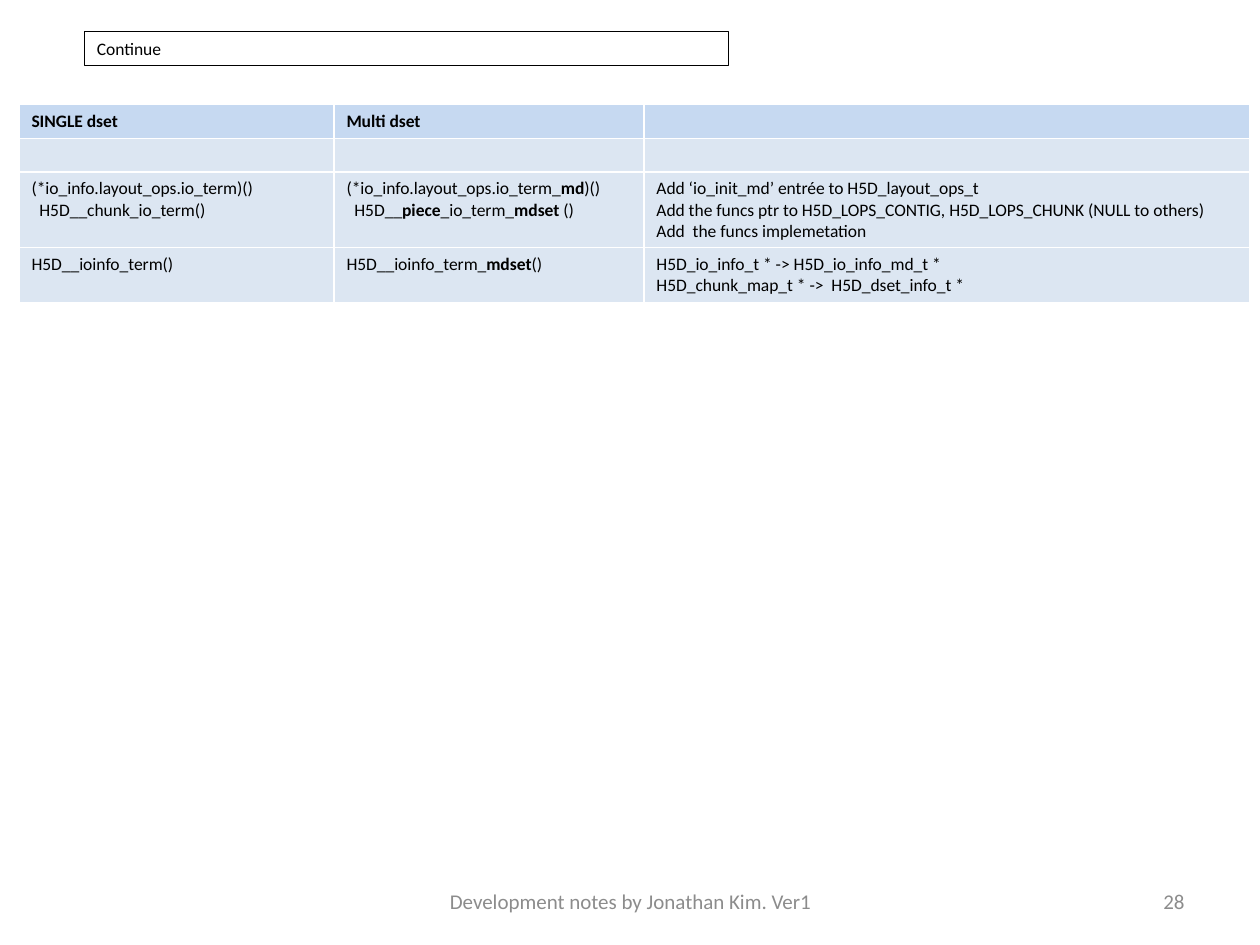
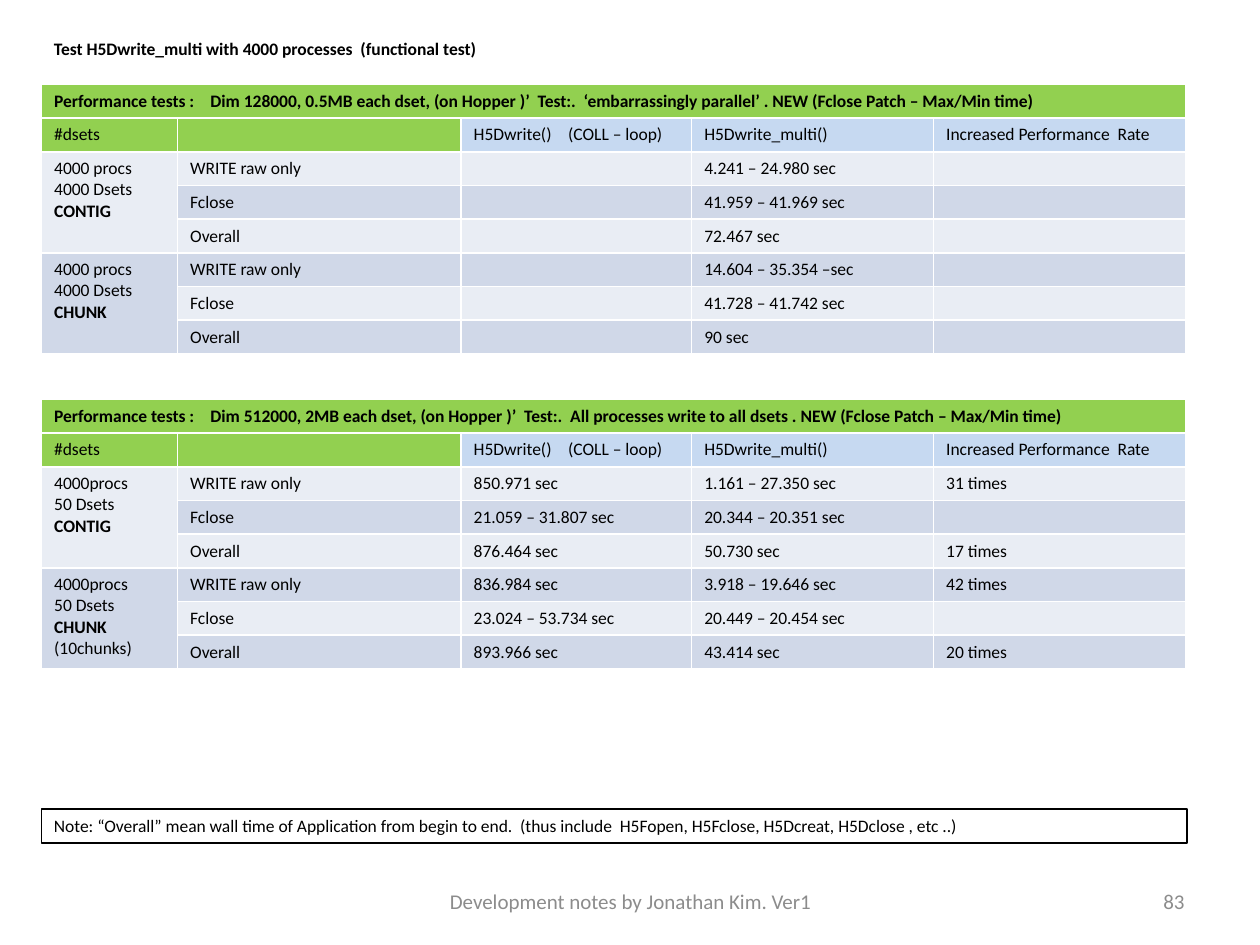
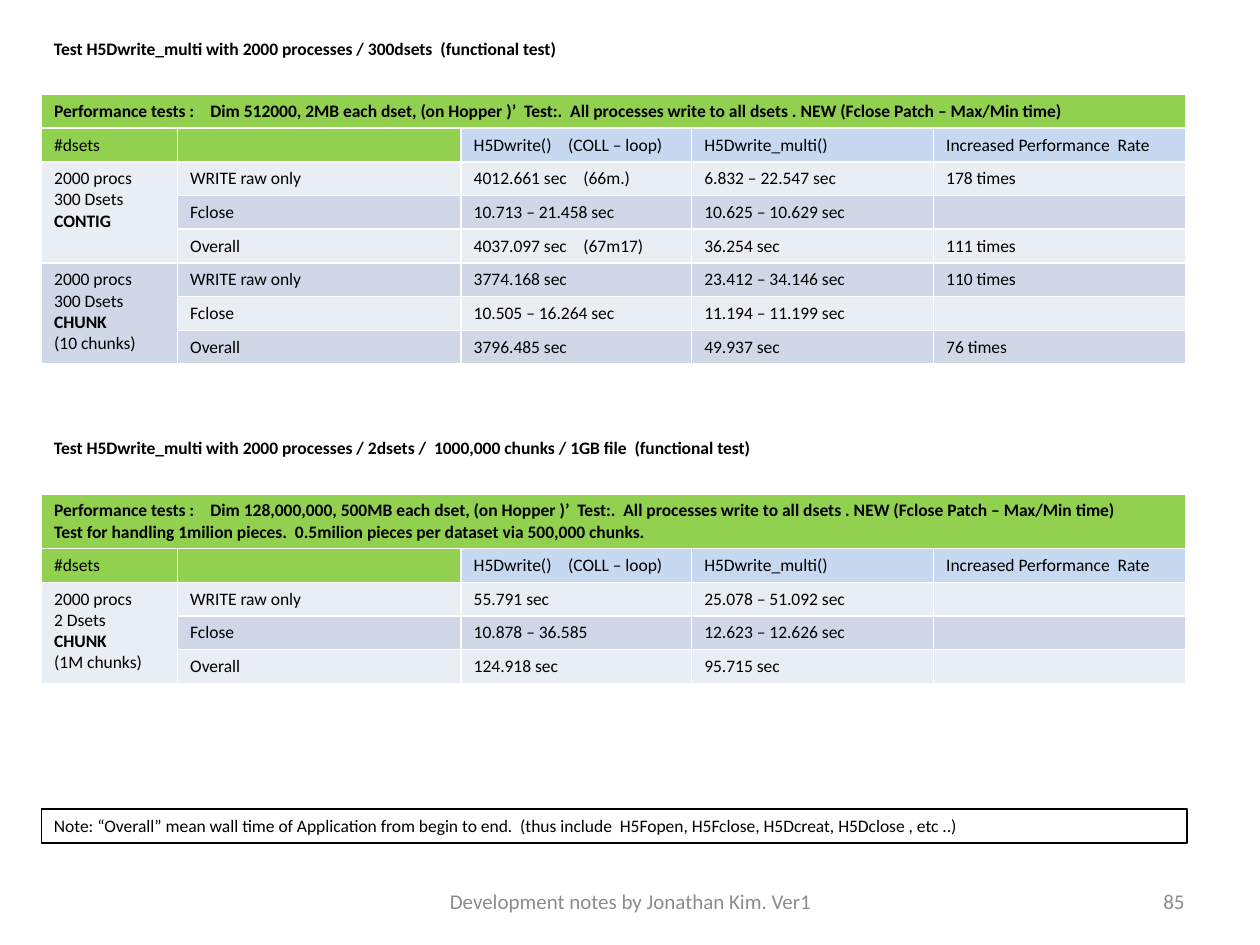
import dataclasses

import lxml.etree
import pptx
import pptx.dml.color
import pptx.enum.shapes
import pptx.enum.text
import pptx.oxml.ns
import pptx.util

Inches = pptx.util.Inches
Pt = pptx.util.Pt
ALIGN = pptx.enum.text.PP_ALIGN
ANCHOR = pptx.enum.text.MSO_ANCHOR


@dataclasses.dataclass(frozen=True)
class Theme:
    font: str = "Calibri"
    body: int = 10
    footer: int = 12
    line_height: int = 12
    border: float = 0.75
    ink: str = "000000"
    grey: str = "8C8C8C"
    green: str = "92D050"
    blue: str = "C6D9F1"
    pale_blue: str = "DCE6F2"
    bands: tuple = ("E9EDF4", "D0D8E8")


THEME = Theme()
TAB_STOPS = {"Performance tests :": 1.24, "H5Dwrite()": 0.75}
DEFAULT_TAB = 0.87
TEST_COLUMNS = [1.08, 2.25, 1.83, 1.92, 2]
TEST_HEADINGS = ["#dsets", "", "H5Dwrite()\t(COLL – loop)", "H5Dwrite_multi()",
                 "Increased Performance  Rate"]
MEASURES = ["WRITE raw only", "Fclose", "Overall"]
FOOTER = "Development notes by Jonathan Kim. Ver1"
NOTE = ("Note: “Overall” mean wall time of Application from begin to end.  "
        "(thus include  H5Fopen, H5Fclose, H5Dcreat, H5Dclose , etc ..)")
ALL_TO_ALL = ("**Performance tests :\tDim {}, {} each dset, (on Hopper )’  Test:.  "
              "All processes write to all dsets . NEW (Fclose Patch – Max/Min time)**")


def color(value):
    return pptx.dml.color.RGBColor.from_string(value)


class Builder:
    def __init__(self, theme):
        self.theme = theme
        self.deck = pptx.Presentation()
        self.deck.slide_width = Inches(10)
        self.deck.slide_height = Inches(7.5)
        self.page = None

    def start_page(self, number):
        self.page = self.deck.slides.add_slide(self.deck.slide_layouts[6])
        for text, left, width, align in ((FOOTER, 3.42, 3.17, ALIGN.CENTER),
                                         (str(number), 7.17, 2.33, ALIGN.RIGHT)):
            box = self.page.shapes.add_textbox(
                Inches(left), Inches(6.95), Inches(width), Inches(0.4))
            box.text_frame.word_wrap = True
            box.text_frame.vertical_anchor = ANCHOR.MIDDLE
            self.fill_text(box.text_frame, text, self.theme.footer, self.theme.grey, align)

    def fill_text(self, frame, text, size=None, ink=None, align=ALIGN.LEFT):
        size = size or self.theme.body
        for index, line in enumerate(text.split("\n")):
            para = frame.add_paragraph() if index else frame.paragraphs[0]
            para.alignment = align
            if "\t" in line:
                self.add_tab_stop(para, line)
            if not line:
                lxml.etree.SubElement(
                    para._p, pptx.oxml.ns.qn("a:endParaRPr"), sz=str(size * 100))
            for part, words in enumerate(line.split("**")):
                if not words:
                    continue
                span = para.add_run()
                span.text = words
                style = {"name": self.theme.font, "size": Pt(size), "bold": part % 2 == 1}
                for name, value in style.items():
                    setattr(span.font, name, value)
                span.font.color.rgb = color(ink or self.theme.ink)

    def add_tab_stop(self, para, line):
        head = line.strip("*").split("\t")[0]
        stops = lxml.etree.SubElement(
            para._p.get_or_add_pPr(), pptx.oxml.ns.qn("a:tabLst"))
        position = Inches(TAB_STOPS.get(head, DEFAULT_TAB))
        lxml.etree.SubElement(
            stops, pptx.oxml.ns.qn("a:tab"), pos=str(int(position)), algn="l")

    def heading(self, text, top, width):
        box = self.page.shapes.add_textbox(
            Inches(0.33), Inches(top), Inches(width), Inches(0.27))
        box.text_frame.word_wrap = True
        self.fill_text(box.text_frame, f"**{text}**")

    def framed_text(self, text, left, top, width):
        box = self.page.shapes.add_shape(
            pptx.enum.shapes.MSO_SHAPE.RECTANGLE,
            Inches(left), Inches(top), Inches(width), Inches(0.27))
        box.shadow.inherit = False
        box.fill.background()
        box.line.color.rgb = color(self.theme.ink)
        box.line.width = Pt(self.theme.border)
        box.text_frame.word_wrap = True
        box.text_frame.vertical_anchor = ANCHOR.TOP
        self.fill_text(box.text_frame, text)

    def table(self, left, top, columns, rows, fills, line_counts):
        heights = [Inches(0.1) + Pt(self.theme.line_height) * count for count in line_counts]
        grid = self.page.shapes.add_table(
            len(rows), len(columns), Inches(left), Inches(top),
            Inches(sum(columns)), sum(heights)).table
        grid.horz_banding = False
        for column, width in zip(grid.columns, columns):
            column.width = Inches(width)
        for row, height, texts, row_fills in zip(grid.rows, heights, rows, fills):
            row.height = height
            for cell, text, fill in zip(row.cells, texts, row_fills):
                cell.fill.solid()
                cell.fill.fore_color.rgb = color(fill)
                self.fill_text(cell.text_frame, text)
        return grid

    def test_table(self, top, title, groups):
        theme = self.theme
        rows = [[title, "", "", "", ""], TEST_HEADINGS]
        fills = [[theme.green] * 5, [theme.green] * 2 + [theme.blue] * 3]
        for label, results in groups:
            for index, (measure, result) in enumerate(zip(MEASURES, results)):
                fills.append([theme.bands[len(rows) % 2]] * 5)
                rows.append(["" if index else label, measure, *result])
        line_counts = [title.count("\n") + 1] + [1] * (len(rows) - 1)
        grid = self.table(0.33, top, TEST_COLUMNS, rows, fills, line_counts)
        grid.cell(0, 0).merge(grid.cell(0, 4))
        for first in range(2, len(rows), len(MEASURES)):
            grid.cell(first, 0).merge(grid.cell(first + len(MEASURES) - 1, 0))

    def change_table(self, rows):
        fills = [[self.theme.blue] * 3] + [[self.theme.pale_blue] * 3] * (len(rows) - 1)
        line_counts = [max(text.count("\n") + 1 for text in row) for row in rows]
        self.table(0.15, 0.83, [2.5, 2.46, 4.81], rows, fills, line_counts)


def build_changes(builder):
    builder.start_page(28)
    builder.framed_text("Continue", 0.67, 0.25, 5.11)
    builder.change_table([
        ["**SINGLE dset**", "**Multi dset**", ""],
        ["", "", ""],
        ["(*io_info.layout_ops.io_term)()\n  H5D__chunk_io_term()",
         "(*io_info.layout_ops.io_term_**md**)()\n  H5D__**piece**_io_term_**mdset** ()",
         "Add ‘io_init_md’ entrée to H5D_layout_ops_t\n"
         "Add the funcs ptr to H5D_LOPS_CONTIG, H5D_LOPS_CHUNK (NULL to others)\n"
         "Add  the funcs implemetation"],
        ["H5D__ioinfo_term()",
         "H5D__ioinfo_term_**mdset**()",
         "H5D_io_info_t * -> H5D_io_info_md_t *\nH5D_chunk_map_t * ->  H5D_dset_info_t *"],
    ])


def build_4000_processes(builder):
    builder.start_page(83)
    builder.heading("Test H5Dwrite_multi with 4000 processes  (functional test)", 0.25, 3.67)
    builder.test_table(
        0.67,
        "**Performance tests :\tDim 128000, 0.5MB each dset, (on Hopper )’  Test:.  "
        "‘embarrassingly parallel’ . NEW (Fclose Patch – Max/Min time)**",
        [("4000 procs\n4000 Dsets\n**CONTIG**",
          [("", "4.241 – 24.980 sec", ""),
           ("", "41.959 – 41.969 sec", ""),
           ("", "72.467 sec", "")]),
         ("4000 procs\n4000 Dsets\n**CHUNK**",
          [("", "14.604 – 35.354 –sec", ""),
           ("", "41.728 – 41.742 sec", ""),
           ("", "90 sec", "")])])
    builder.test_table(
        3.17,
        ALL_TO_ALL.format("512000", "2MB"),
        [("4000procs\n50 Dsets\n**CONTIG**",
          [("850.971 sec", "1.161 – 27.350 sec", "31 times"),
           ("21.059 – 31.807 sec", "20.344 – 20.351 sec", ""),
           ("876.464 sec", "50.730 sec", "17 times")]),
         ("4000procs\n50 Dsets\n**CHUNK**\n(10chunks)",
          [("836.984 sec", "3.918 – 19.646 sec", "42 times"),
           ("23.024 – 53.734 sec", "20.449 – 20.454 sec", ""),
           ("893.966 sec", "43.414 sec", "20 times")])])
    builder.framed_text(NOTE, 0.33, 6.42, 9.09)


def build_2000_processes(builder):
    builder.start_page(85)
    builder.heading(
        "Test H5Dwrite_multi with 2000 processes / 300dsets  (functional test)", 0.25, 4.54)
    builder.test_table(
        0.75,
        ALL_TO_ALL.format("512000", "2MB"),
        [("2000 procs\n300 Dsets\n**CONTIG**",
          [("4012.661 sec\t(66m.)", "6.832 – 22.547 sec", "178 times"),
           ("10.713 – 21.458 sec", "10.625 – 10.629 sec", ""),
           ("4037.097 sec\t(67m17)", "36.254 sec", "111 times")]),
         ("2000 procs\n300 Dsets\n**CHUNK**\n(10 chunks)",
          [("3774.168 sec", "23.412 – 34.146 sec", "110 times"),
           ("10.505 – 16.264 sec", "11.194 – 11.199 sec", ""),
           ("3796.485 sec", "49.937 sec", "76 times")])])
    builder.heading(
        "Test H5Dwrite_multi with 2000 processes / 2dsets /  1000,000 chunks / 1GB file  "
        "(functional test)", 3.42, 5.84)
    builder.test_table(
        3.92,
        ALL_TO_ALL.format("128,000,000", "500MB")
        + "\n**Test for handling 1milion pieces.  "
          "0.5milion pieces per dataset via 500,000 chunks.**",
        [("2000 procs\n2 Dsets\n**CHUNK**\n(1M chunks)",
          [("55.791 sec", "25.078 – 51.092 sec", ""),
           ("10.878 – 36.585", "12.623 – 12.626 sec", ""),
           ("124.918 sec", "95.715 sec", "")])])
    builder.framed_text(NOTE, 0.33, 6.42, 9.09)


def main():
    builder = Builder(THEME)
    build_changes(builder)
    build_4000_processes(builder)
    build_2000_processes(builder)
    builder.deck.save("out.pptx")


if __name__ == "__main__":
    main()
